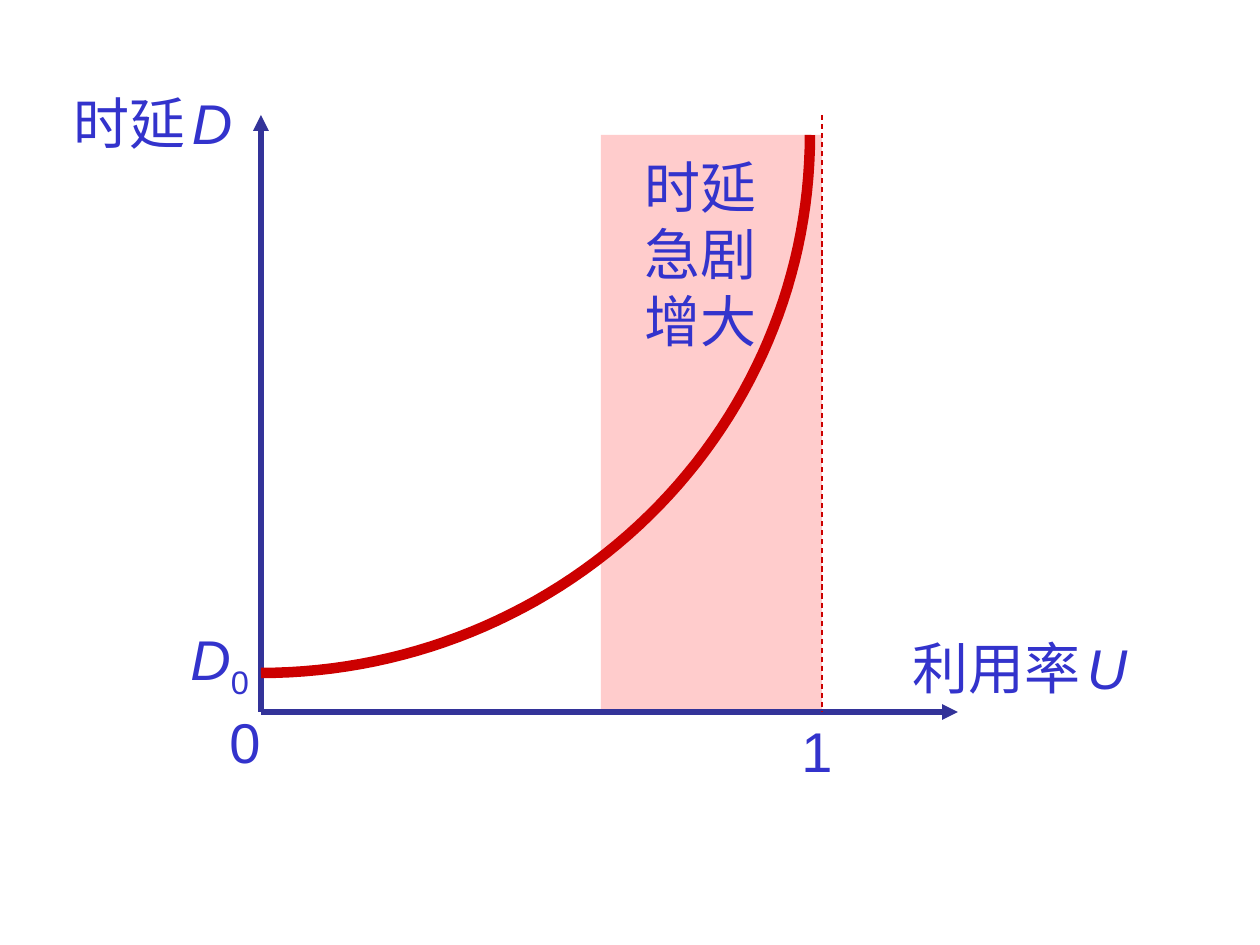
"""Build a slide that plots network delay D against utilisation U."""
import math

from pptx import Presentation
from pptx import util as u
from pptx.dml.color import RGBColor
from pptx.enum import dml, shapes, text
from pptx.oxml.ns import qn
from lxml import etree

SCALE = 914400 / 126
AXIS_BLUE = RGBColor(0x33, 0x33, 0x99)
TEXT_BLUE = RGBColor(0x33, 0x33, 0xCC)
CURVE_RED = RGBColor(0xCC, 0x00, 0x00)
BAND_PINK = RGBColor(0xFF, 0xCC, 0xCC)

ORIGIN_X, ORIGIN_Y = 261, 712
AXIS_TOP, AXIS_RIGHT = 115, 958
LIMIT_X = 822
CURVE_TOP, CURVE_RIGHT, CURVE_BOTTOM = 135, 810, 673
CURVE_STEPS = 60


def px(length):
    return u.Emu(round(length * SCALE))


def add_band(page, left, top, right, bottom):
    band = page.shapes.add_shape(
        shapes.MSO_SHAPE.RECTANGLE, px(left), px(top), px(right - left), px(bottom - top))
    band.shadow.inherit = False
    band.fill.solid()
    band.fill.fore_color.rgb = BAND_PINK
    band.line.fill.background()


def add_line(page, start, end, color, width, arrow=False, dash=None):
    line = page.shapes.add_connector(
        shapes.MSO_CONNECTOR.STRAIGHT, *map(px, start), *map(px, end))
    line.line.color.rgb = color
    line.line.width = u.Pt(width)
    if dash:
        line.line.dash_style = dash
    properties = line._element.spPr
    if arrow:
        etree.SubElement(properties.find(qn("a:ln")), qn("a:tailEnd"), type="triangle")
    etree.SubElement(properties, qn("a:effectLst"))


def add_curve(page):
    """Draw a quarter ellipse that rises from D0 towards the limit."""
    angles = [math.pi / 2 * step / CURVE_STEPS for step in range(CURVE_STEPS + 1)]
    points = [(px(ORIGIN_X + (CURVE_RIGHT - ORIGIN_X) * math.sin(angle)),
               px(CURVE_TOP + (CURVE_BOTTOM - CURVE_TOP) * math.cos(angle)))
              for angle in angles]
    builder = page.shapes.build_freeform(*points[0])
    builder.add_line_segments(points[1:], close=False)
    curve = builder.convert_to_shape()
    curve.shadow.inherit = False
    curve.fill.background()
    curve.line.color.rgb = CURVE_RED
    curve.line.width = u.Pt(6)


def add_span(para, words, size=32, italic=False, subscript=False):
    span = para.add_run()
    span.text = words
    span.font.name = "Arial"
    span.font.size = u.Pt(size)
    span.font.italic = italic
    span.font.color.rgb = TEXT_BLUE
    if subscript:
        span._r.get_or_add_rPr().set("baseline", "-25000")


def add_label(page, left, top, width, height, *lines):
    """Add a text box; each line is a list of (words, format) pairs."""
    box = page.shapes.add_textbox(px(left), px(top), px(width), px(height))
    frame = box.text_frame
    frame.word_wrap = False
    frame.auto_size = text.MSO_AUTO_SIZE.SHAPE_TO_FIT_TEXT
    for index, spans in enumerate(lines):
        para = frame.add_paragraph() if index else frame.paragraphs[0]
        for words, style in spans:
            add_span(para, words, **style)


def axis_title(name, symbol):
    return [(name, {}), (" ", {"size": 16}), (symbol, {"italic": True})]


def main():
    deck = Presentation()
    deck.slide_width, deck.slide_height = u.Inches(10), u.Inches(7.5)
    page = deck.slides.add_slide(deck.slide_layouts[6])

    add_band(page, 601, CURVE_TOP, LIMIT_X, ORIGIN_Y)
    add_label(page, 61, 82, 198, 81, axis_title("时延", "D"))
    origin = (ORIGIN_X, ORIGIN_Y)
    for end in ((ORIGIN_X, AXIS_TOP), (AXIS_RIGHT, ORIGIN_Y)):
        add_line(page, origin, end, AXIS_BLUE, 3, arrow=True)
    add_line(page, (LIMIT_X, AXIS_TOP), (LIMIT_X, ORIGIN_Y), CURVE_RED, 0.75,
             dash=dml.MSO_LINE.DASH)
    add_curve(page)
    add_label(page, 900, 627, 255, 81, axis_title("利用率", "U"))
    add_label(page, 789, 710, 57, 81, [("1", {})])
    add_label(page, 217, 701, 57, 81, [("0", {})])
    add_label(page, 178, 618, 88, 89, [("D", {"italic": True}), ("0", {"subscript": True})])
    add_label(page, 632, 146, 137, 214,
              *[[(words, {})] for words in ("时延", "急剧", "增大")])

    deck.save("out.pptx")


if __name__ == "__main__":
    main()
